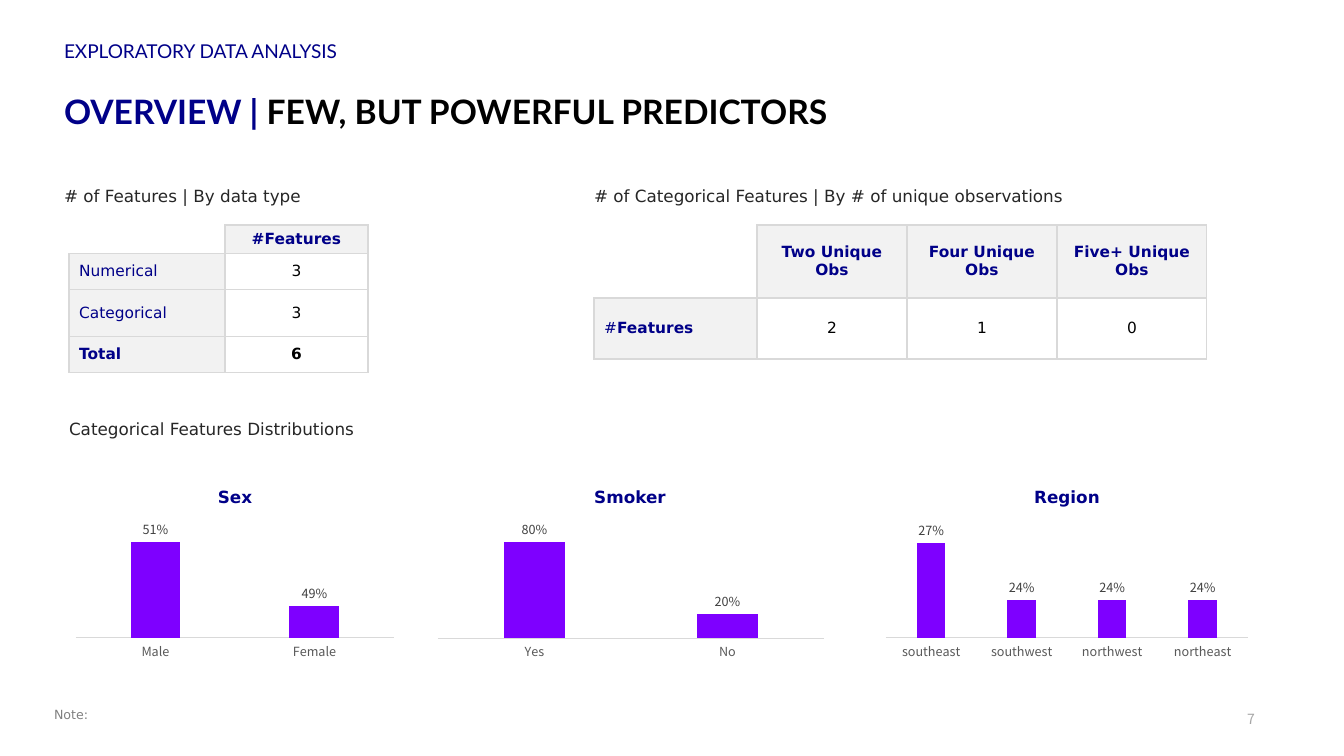
import lxml.etree
import pptx
import pptx.chart.data
import pptx.dml.color
import pptx.enum.chart
import pptx.enum.text
import pptx.oxml.ns
import pptx.util

RGB = pptx.dml.color.RGBColor
NAVY = RGB(0x00, 0x00, 0x88)
BLACK = RGB(0x00, 0x00, 0x00)
WHITE = RGB(0xFF, 0xFF, 0xFF)
DARK = RGB(0x26, 0x26, 0x26)
LABEL = RGB(0x40, 0x40, 0x40)
AXIS = RGB(0x59, 0x59, 0x59)
NOTE = RGB(0x80, 0x80, 0x80)
PAGE = RGB(0xA6, 0xA6, 0xA6)
BORDER = RGB(0xD9, 0xD9, 0xD9)
HEADER = RGB(0xF2, 0xF2, 0xF2)
PURPLE = RGB(0x7E, 0x00, 0xFF)

HEAD_FONT, BODY_FONT, CHART_FONT = "Lato", "DejaVu Sans", "Noto Sans CJK JP"
PX_PER_INCH = 100.8
LEFT, CENTER, RIGHT = (pptx.enum.text.PP_ALIGN.LEFT, pptx.enum.text.PP_ALIGN.CENTER,
                       pptx.enum.text.PP_ALIGN.RIGHT)
TOP, MIDDLE, BOTTOM = (pptx.enum.text.MSO_ANCHOR.TOP, pptx.enum.text.MSO_ANCHOR.MIDDLE,
                       pptx.enum.text.MSO_ANCHOR.BOTTOM)


def px(n):
    return pptx.util.Emu(round(n * 914400 / PX_PER_INCH))


def set_font(font, name, size, color, bold=False):
    font.name, font.size, font.bold = name, pptx.util.Pt(size), bold
    font.color.rgb = color


def add_run(p, text, name, size, color, bold=False):
    r = p.add_run()
    r.text = text
    set_font(r.font, name, size, color, bold)


def add_text(slide, box, runs, name, size, align=LEFT, anchor=TOP,
             top=0, bottom=0, spacing=None):
    """Place one paragraph; runs are (text, color, bold)."""
    tf = slide.shapes.add_textbox(*map(px, box)).text_frame
    tf.word_wrap = True
    tf.vertical_anchor = anchor
    tf.margin_left = tf.margin_right = 0
    tf.margin_top, tf.margin_bottom = px(top), px(bottom)
    p = tf.paragraphs[0]
    p.alignment = align
    if spacing:
        p.line_spacing = spacing
    for text, color, bold in runs:
        add_run(p, text, name, size, color, bold)


def add_borders(cell, sides):
    tc_pr = cell._tc.get_or_add_tcPr()
    qn = pptx.oxml.ns.qn
    for i, side in enumerate(sides):
        ln = lxml.etree.Element(qn("a:ln" + side), w=str(pptx.util.Pt(1)))
        fill = lxml.etree.SubElement(ln, qn("a:solidFill"))
        lxml.etree.SubElement(fill, qn("a:srgbClr"), val=str(BORDER))
        tc_pr.insert(i, ln)


def add_table(slide, x, y, widths, heights, rows):
    """Each cell holds (text, bold) runs; the first row and column are headers."""
    frame = slide.shapes.add_table(len(heights), len(widths), px(x), px(y),
                                   px(sum(widths)), px(sum(heights)))
    table = frame.table
    table.first_row = table.horz_banding = False
    for column, width in zip(table.columns, widths):
        column.width = px(width)
    for row, height in zip(table.rows, heights):
        row.height = px(height)
    for i, row in enumerate(rows):
        for j, runs in enumerate(row):
            cell = table.cell(i, j)
            cell.vertical_anchor = MIDDLE
            p = cell.text_frame.paragraphs[0]
            if not runs:
                lxml.etree.SubElement(p._p, pptx.oxml.ns.qn("a:endParaRPr"), sz="1100")
                cell.fill.background()
                add_borders(cell, "RB")
                continue
            is_header = i == 0 or j == 0
            p.alignment = CENTER if j else LEFT
            for text, bold in runs:
                add_run(p, text, BODY_FONT, 11, NAVY if is_header else BLACK, bold)
            cell.fill.solid()
            cell.fill.fore_color.rgb = HEADER if is_header else WHITE
            add_borders(cell, "LRTB")


def set_plot_area(chart, w, h):
    """Inset the bars by 7 px at the sides and leave room below for categories."""
    qn = pptx.oxml.ns.qn
    plot = chart._chartSpace.find(".//" + qn("c:plotArea"))
    for old in plot.findall(qn("c:layout")):
        plot.remove(old)
    layout = lxml.etree.Element(qn("c:layout"))
    manual = lxml.etree.SubElement(layout, qn("c:manualLayout"))
    settings = [("layoutTarget", "inner"), ("xMode", "edge"), ("yMode", "edge"),
                ("x", 7 / w), ("y", 6 / h), ("w", (w - 14) / w), ("h", 112 / h)]
    for tag, val in settings:
        lxml.etree.SubElement(manual, qn("c:" + tag), val=str(val))
    plot.insert(0, layout)


def add_distribution(slide, box, title, title_box, values, low, high):
    x, y, w, h = box
    add_text(slide, (title_box[0], y - 43, title_box[1], 31), [(title, NAVY, True)],
             BODY_FONT, 12, CENTER, bottom=5, spacing=1.5)
    data = pptx.chart.data.CategoryChartData(number_format="0%")
    data.categories = list(values)
    data.add_series("Series 1", list(values.values()))
    chart = slide.shapes.add_chart(pptx.enum.chart.XL_CHART_TYPE.COLUMN_CLUSTERED,
                                   *map(px, box), data).chart
    chart.has_legend = chart.has_title = False
    set_font(chart.font, CHART_FONT, 9, BLACK)
    set_plot_area(chart, w, h)

    # Axes
    axis = chart.category_axis
    axis.major_tick_mark = pptx.enum.chart.XL_TICK_MARK.NONE
    axis.format.line.color.rgb = BORDER
    axis.format.line.width = pptx.util.Pt(0.75)
    set_font(axis.tick_labels.font, CHART_FONT, 9, AXIS)
    scale = chart.value_axis
    scale.minimum_scale, scale.maximum_scale = low, high
    scale.has_major_gridlines = False
    scale.visible = False

    # Columns and labels
    plot = chart.plots[0]
    plot.gap_width, plot.overlap, plot.vary_by_categories = 219, -27, False
    fill = plot.series[0].format.fill
    fill.solid()
    fill.fore_color.rgb = PURPLE
    labels = plot.series[0].data_labels
    labels.show_value = True
    labels.number_format, labels.number_format_is_linked = "0%", False
    labels.position = pptx.enum.chart.XL_LABEL_POSITION.OUTSIDE_END
    set_font(labels.font, CHART_FONT, 9, LABEL)


def add_header(slide, x, y):
    add_text(slide, (x, y, 630, 19), [("EXPLORATORY DATA ANALYSIS", NAVY, False)],
             HEAD_FONT, 13.6, top=5, spacing=0.5)
    add_text(slide, (x, y + 42, 1239, 100),
             [("OVERVIEW | ", NAVY, True), ("FEW, BUT POWERFUL PREDICTORS", BLACK, True)],
             HEAD_FONT, 24, top=5)


def add_footer(slide, x, y):
    add_text(slide, (x, y, 1167, 20), [("Note:", NOTE, False)], BODY_FONT, 9, bottom=5)
    add_text(slide, (x + 1168, y + 1, 33, 19), [("7", PAGE, False)],
             CHART_FONT, 10, RIGHT, BOTTOM)


def add_caption(slide, x, y, w, text):
    add_text(slide, (x, y, w, 25), [(text, DARK, False)], BODY_FONT, 12, bottom=5)


def main():
    prs = pptx.Presentation()
    prs.slide_width, prs.slide_height = px(1344), px(756)
    slide = prs.slides.add_slide(prs.slide_layouts[6])
    add_header(slide, 64, 44)

    # Feature counts
    add_caption(slide, 64, 186, 320, "# of Features | By data type")
    add_table(slide, 69, 225, [156, 143], [28, 36, 47, 36], [
        [[], [("#Features", True)]],
        [[("Numerical", False)], [("3", False)]],
        [[("Categorical", False)], [("3", False)]],
        [[("Total", True)], [("6", True)]]])
    add_caption(slide, 594, 186, 628, "# of Categorical Features | By # of unique observations")
    add_table(slide, 594, 225, [163, 150, 150, 150], [73, 61], [
        [[]] + [[(n + " Unique Obs", True)] for n in ("Two", "Four", "Five+")],
        [[("#", False), ("Features", True)]] + [[(n, False)] for n in "210"]])

    # Distributions
    add_caption(slide, 69, 419, 320, "Categorical Features Distributions")
    add_distribution(slide, (69, 520, 332, 142), "Sex", (144, 182),
                     {"Male": 0.51, "Female": 0.49}, 0.48, 0.515)
    add_distribution(slide, (431, 520, 400, 142), "Smoker", (520, 220),
                     {"Yes": 0.8, "No": 0.2}, 0, 0.92)
    add_distribution(slide, (879, 520, 376, 142), "Region", (964, 206),
                     {"southeast": 0.27, "southwest": 0.24,
                      "northwest": 0.24, "northeast": 0.24}, 0.22, 0.279)
    add_footer(slide, 54, 707)
    prs.save("out.pptx")


if __name__ == "__main__":
    main()
